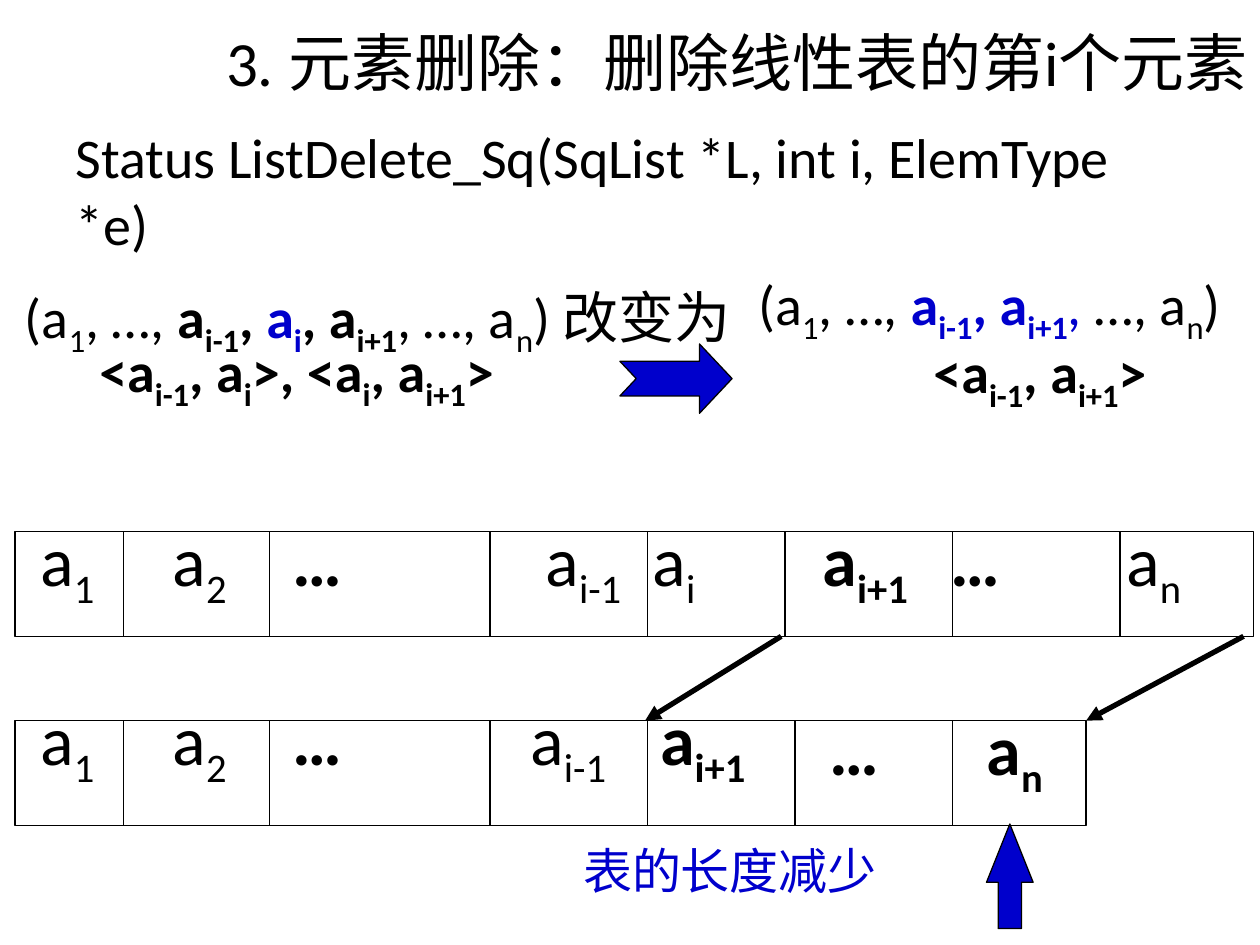
import pptx
import pptx.util
import pptx.dml.color
import pptx.enum.shapes
import pptx.enum.text
import pptx.oxml.ns
from lxml import etree

Inches, Pt = pptx.util.Inches, pptx.util.Pt
SHAPE = pptx.enum.shapes.MSO_SHAPE
ANCHOR = pptx.enum.text.MSO_ANCHOR
ALIGN = pptx.enum.text.PP_ALIGN
BLACK, BLUE = "000000", "0000CC"


def rgb(value):
    return pptx.dml.color.RGBColor.from_string(value)


def add_text(slide, box, runs, size, font="Calibri", color=BLACK, inset=0.1, **paragraph):
    """Runs are (text, flags): b bold, c blue, s subscript, h Arial."""
    sp = slide.shapes.add_textbox(*map(Inches, box))
    tf = sp.text_frame
    tf.word_wrap = True
    tf.margin_left = tf.margin_right = Inches(inset)
    p = tf.paragraphs[0]
    for name, value in paragraph.items():
        setattr(p, name, value)
    for text, flags in runs:
        r = p.add_run()
        r.text = text
        style = {"size": Pt(size), "name": "Arial" if "h" in flags else font,
                 "bold": "b" in flags}
        for name, value in style.items():
            setattr(r.font, name, value)
        r.font.color.rgb = rgb(BLUE if "c" in flags else color)
        if "s" in flags:
            r.font._element.set("baseline", "-25000")
    return tf


def add_shape(slide, kind, box, fill=None, adjustments=()):
    sp = slide.shapes.add_shape(kind, *map(Inches, box))
    sp.shadow.inherit = False
    if fill:
        sp.fill.solid()
        sp.fill.fore_color.rgb = rgb(fill)
    else:
        sp.fill.background()
    sp.line.color.rgb = rgb(BLACK)
    sp.line.width = Pt(0.75)
    for i, value in enumerate(adjustments):
        sp.adjustments[i] = value


def add_line(slide, start, end, width=0.75, arrow=False):
    line = slide.shapes.add_connector(
        pptx.enum.shapes.MSO_CONNECTOR.STRAIGHT, *map(Inches, start + end))
    line.line.color.rgb = rgb(BLACK)
    line.line.width = Pt(width)
    qn = pptx.oxml.ns.qn
    if arrow:
        etree.SubElement(line.line._get_or_add_ln(), qn("a:tailEnd"), type="triangle")
    etree.SubElement(line._element.spPr, qn("a:effectLst"))


def add_heading(slide, left, top):
    tf = add_text(slide, (left, top, 9.5, 0.87),
                  [("3. 元素删除：删除线性表的第i个元素", "")], 36, alignment=ALIGN.RIGHT)
    tf.vertical_anchor = ANCHOR.MIDDLE
    add_text(slide, (left, top + 0.87, 9, 1.2),
             [("Status ListDelete_Sq(SqList *L, int i, ElemType *e)", "")], 32)


def add_change(slide, left, top):
    """The list and its neighbour pairs before and after the deletion."""
    before = [("(a", ""), ("1", "s"), (", …, ", ""), ("a", "b"), ("i-1", "bs"),
              (", ", "b"), ("a", "bc"), ("i", "bcs"), (", a", "b"), ("i+1", "bs"),
              (", …, a", ""), ("n", "s"), (") ", ""), ("改变为", "h")]
    after = [("(a", ""), ("1", "s"), (", …, ", ""), ("a", "bc"), ("i-1", "bcs"),
             (", a", "bc"), ("i+1", "bcs"), (", ", "c"), ("…, a", ""), ("n", "s"),
             (")", "")]
    pairs_before = [("<a", "b"), ("i-1", "bs"), (", a", "b"), ("i", "bs"),
                    (">, <a", "b"), ("i", "bs"), (", a", "b"), ("i+1", "bs"), (">", "b")]
    pairs_after = [("<a", "b"), ("i-1", "bs"), (", a", "b"), ("i+1", "bs"), (">", "b")]
    add_text(slide, (left, top, 6.2, 0.72), before, 32, line_spacing=1.25)
    add_text(slide, (left + 5.82, top + 0.05, 4.08, 0.64), after, 32)
    add_text(slide, (left + 0.59, top + 0.58, 3.8, 0.64), pairs_before, 32)
    add_text(slide, (left + 7.21, top + 0.59, 2.3, 0.64), pairs_after, 32)
    add_shape(slide, SHAPE.NOTCHED_RIGHT_ARROW, (left + 4.82, top + 0.69, 0.89, 0.55),
              BLUE, (0.5, 0.47))


def add_array(slide, box, dividers, labels):
    """Labels are (x, y, name, subscript, flags), with x and y from the box corner."""
    left, top, width, height = box
    add_shape(slide, SHAPE.RECTANGLE, box)
    for x in dividers:
        add_line(slide, (left + x, top), (left + x, top + height))
    for x, y, name, subscript, flags in labels:
        runs = [(name, flags)]
        if subscript:
            runs.append((subscript, flags + "s"))
        add_text(slide, (left + x, top + y, 1, 0.77), runs, 40, inset=0)


def add_arrays(slide, left, top):
    height, step = 0.83, 1.5
    shared_dividers = [0.86, 2.02, 3.77, 5.02]
    shared_labels = [(0.2, "a", "1", ""), (1.25, "a", "2", ""), (2.2, "…", "", "b")]

    def start_labels(y):
        return [(x, y, *label) for x, *label in shared_labels]

    add_array(slide, (left, top, 9.83, height), shared_dividers + [6.11, 7.44, 8.77],
              start_labels(-0.17) + [
                  (4.21, -0.17, "a", "i-1", ""), (5.06, -0.17, "a", "i", ""),
                  (6.41, -0.17, "a", "i+1", "b"), (7.42, -0.17, "…", "", "b"),
                  (8.82, -0.17, "a", "n", "")])
    add_array(slide, (left, top + step, 8.5, height), shared_dividers + [6.19, 7.44],
              start_labels(-0.25) + [
                  (4.09, -0.25, "a", "i-1", ""), (5.12, -0.25, "a", "i+1", "b"),
                  (6.46, -0.17, "…", "", "b"), (7.71, -0.17, "a", "n", "b")])
    for x_from, x_to in ((6.08, 5), (9.75, 8.5)):
        add_line(slide, (left + x_from, top + height), (left + x_to, top + step), 3, True)


def add_length_note(slide, left, top):
    add_text(slide, (left, top + 0.08, 2.9, 0.57), [("表的长度减少", "")], 28, "Arial", BLUE)
    add_shape(slide, SHAPE.UP_ARROW, (left + 3.3, top, 0.37, 0.83), BLUE, (0.5, 1.25))


def main():
    prs = pptx.Presentation()
    prs.slide_width, prs.slide_height = Inches(10), Inches(7.5)
    slide = prs.slides.add_slide(prs.slide_layouts[6])
    add_heading(slide, 0.5, 0.05)
    add_change(slide, 0.1, 2.04)
    add_arrays(slide, 0.12, 4.22)
    add_length_note(slide, 4.53, 6.54)
    prs.save("out.pptx")


if __name__ == "__main__":
    main()
